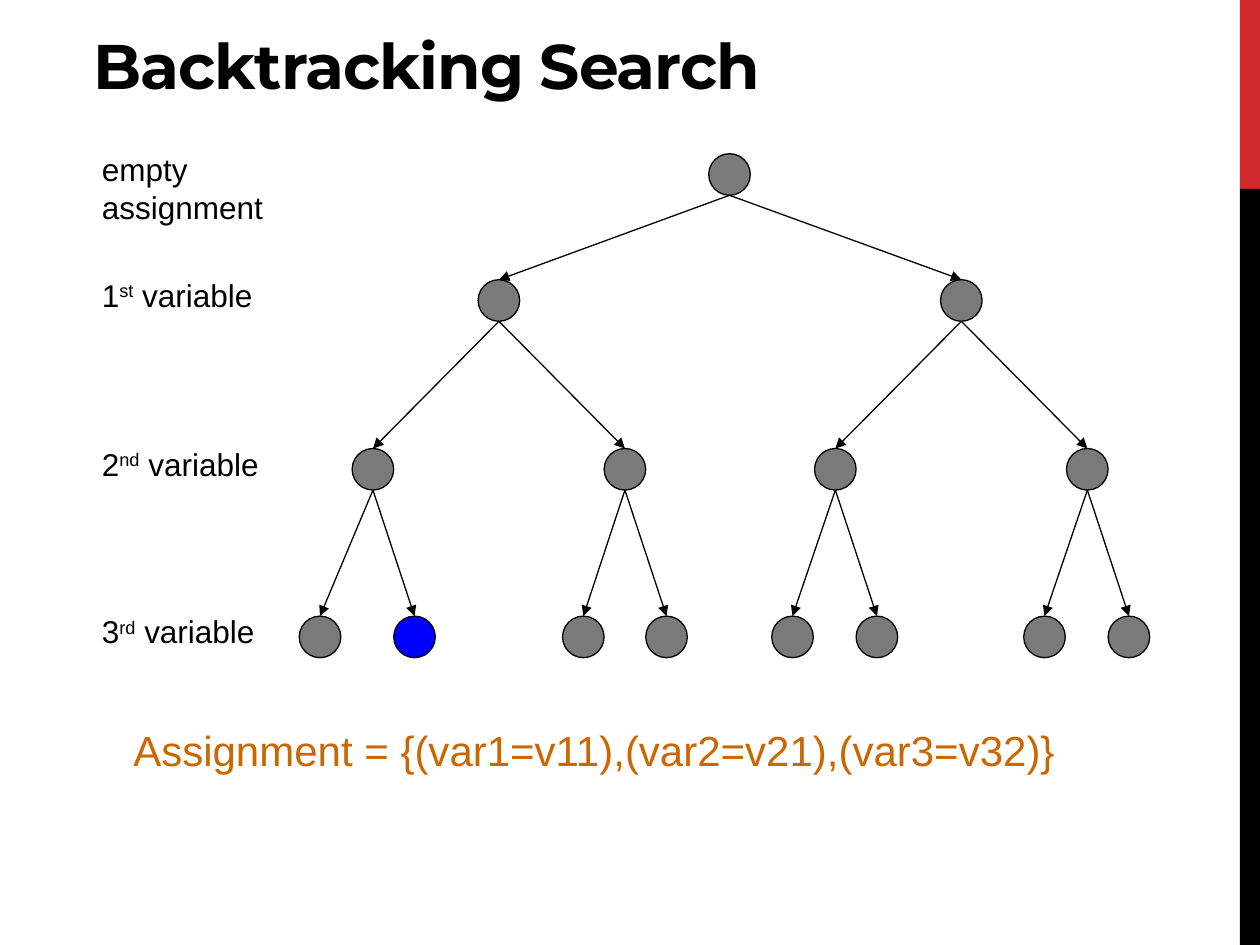
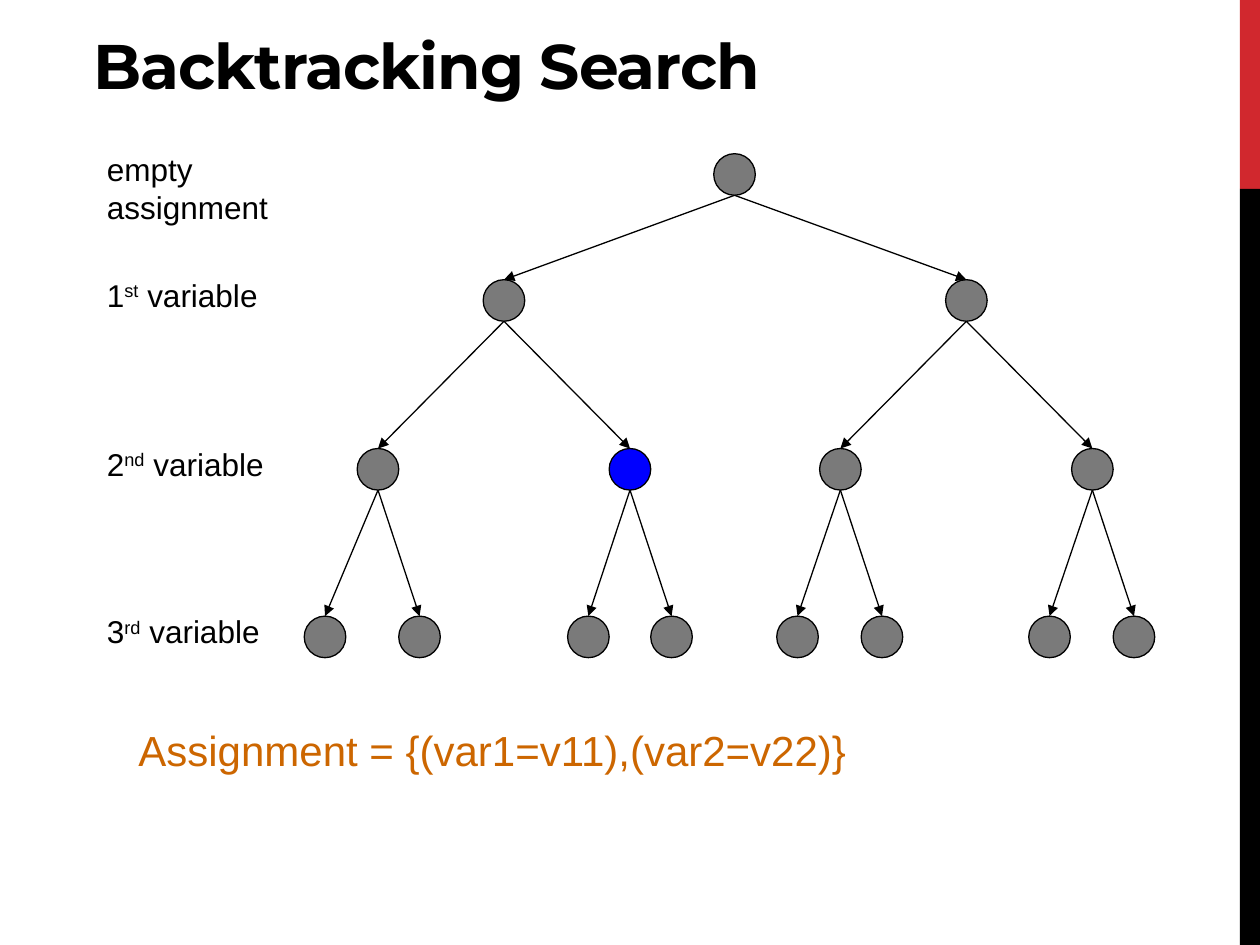
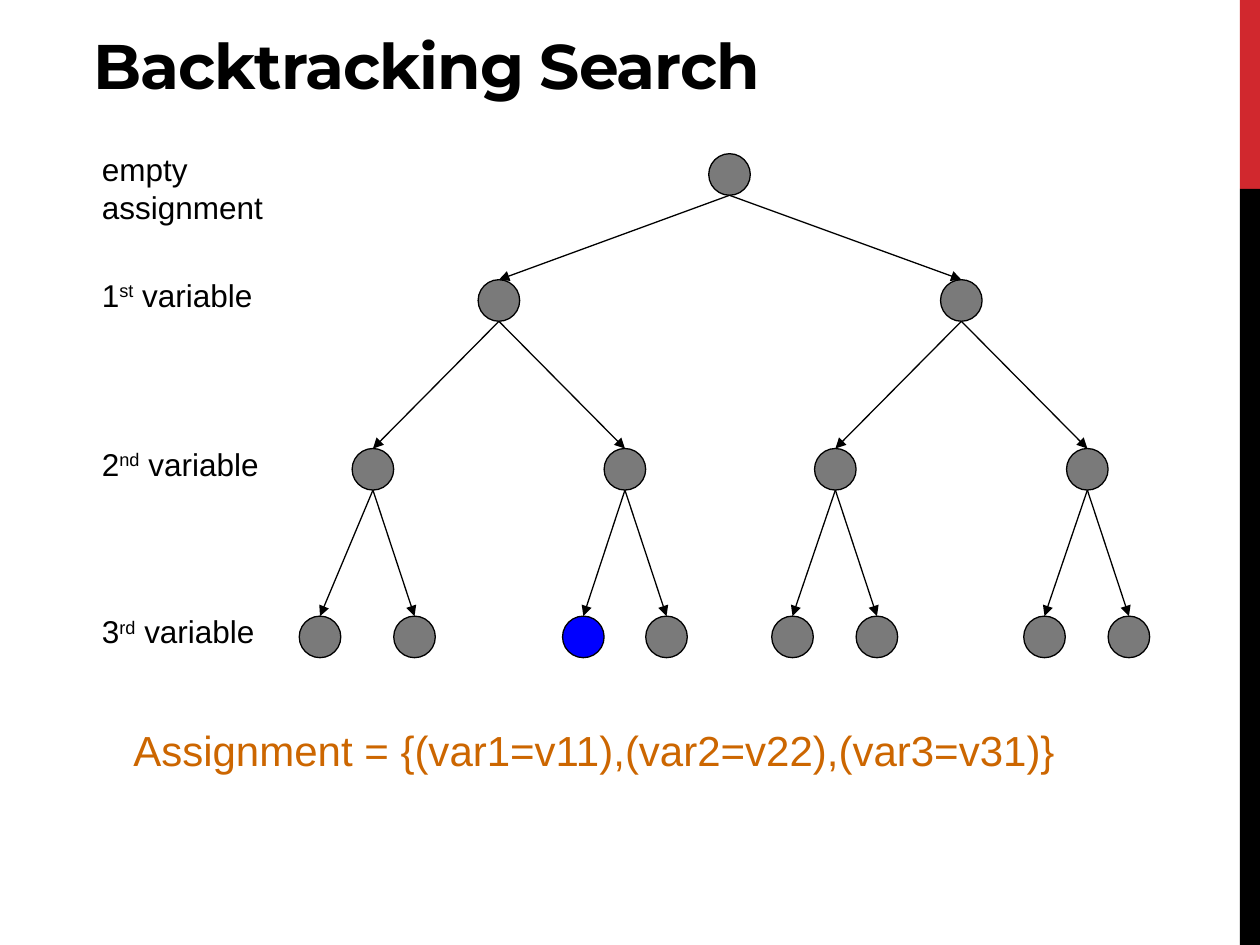
from lxml.etree import SubElement
from pptx import Presentation
from pptx.dml.color import RGBColor
from pptx.enum.shapes import MSO_CONNECTOR, MSO_SHAPE
from pptx.enum.text import MSO_ANCHOR, MSO_AUTO_SIZE, PP_ALIGN
from pptx.oxml.ns import qn
from pptx.util import Inches, Pt

BLACK = RGBColor(0x00, 0x00, 0x00)
RED = RGBColor(0xD1, 0x28, 0x2E)
GRAY = RGBColor(0x7A, 0x7A, 0x7A)
BLUE = RGBColor(0x00, 0x00, 0xFF)
ORANGE = RGBColor(0xCC, 0x66, 0x00)

TITLE = "Backtracking Search"
BANDS = [(0, 1.5, RED), (1.5, 6, BLACK)]
NODE_SIZE = 0.33
LABEL_LEFT = 0.75
LABEL_RISE = 0.08

LEVELS = [
    {"top": 1.22, "label": ["empty assignment"], "centers": [5.83]},
    {"top": 2.22, "label": ["1", "st", " variable"], "centers": [4, 7.67]},
    {"top": 3.56, "label": ["2", "nd", " variable"], "centers": [3, 5, 6.67, 8.67]},
    {"top": 4.89, "label": ["3", "rd", " variable"],
     "centers": [2.58, 3.33, 4.67, 5.33, 6.33, 7, 8.33, 9]},
]

STEPS = [
    {"shift": -0.04, "current": (3, 1),
     "assignment": "Assignment = {(var1=v11),(var2=v21),(var3=v32)}"},
    {"shift": 0, "current": (2, 1),
     "assignment": "Assignment = {(var1=v11),(var2=v22)}"},
    {"shift": -0.04, "current": (3, 2),
     "assignment": "Assignment = {(var1=v11),(var2=v22),(var3=v31)}"},
]


def add_filled(page, kind, left, top, width, height, color):
    shape = page.shapes.add_shape(
        kind, Inches(left), Inches(top), Inches(width), Inches(height))
    shape.shadow.inherit = False
    shape.fill.solid()
    shape.fill.fore_color.rgb = color
    shape.line.fill.background()
    return shape


def add_node(page, center, top, color):
    node = add_filled(page, MSO_SHAPE.OVAL, center - NODE_SIZE / 2, top,
                      NODE_SIZE, NODE_SIZE, color)
    node.line.color.rgb = BLACK
    node.line.width = Pt(0.75)


def add_arrow(page, start, end):
    arrow = page.shapes.add_connector(
        MSO_CONNECTOR.STRAIGHT, *(Inches(value) for value in (*start, *end)))
    arrow.line.color.rgb = BLACK
    arrow.line.width = Pt(0.75)
    SubElement(arrow.line._get_or_add_ln(), qn("a:tailEnd"), type="triangle")
    SubElement(arrow.element.spPr, qn("a:effectLst"))


def add_text(page, parts, left, top, width, size, color):
    box = page.shapes.add_textbox(
        Inches(left), Inches(top), Inches(width), Inches(0.4))
    box.text_frame.word_wrap = True
    para = box.text_frame.paragraphs[0]
    for position, part in enumerate(parts):
        span = para.add_run()
        span.text = part
        span.font.size = Pt(size)
        span.font.name = "Arial"
        span.font.color.rgb = color
        if position == 1:
            span.font._element.set("baseline", "30000")


def add_title(page):
    title = page.shapes.title
    title.left, title.top = Inches(0.5), Inches(0.17)
    title.width, title.height = Inches(8.78), Inches(0.66)
    frame = title.text_frame
    frame.text = TITLE
    frame.auto_size = MSO_AUTO_SIZE.NONE
    frame.vertical_anchor = MSO_ANCHOR.BOTTOM
    frame.margin_left, frame.margin_bottom = Inches(0.24), Inches(0.02)
    para = frame.paragraphs[0]
    para.alignment = PP_ALIGN.LEFT
    span = para.runs[0]
    span.font.name = "Montserrat"
    span.font.size = Pt(36)
    span.font.bold = True
    span.font.color.rgb = BLACK
    span.font._element.set("spc", "-60")


def add_tree(page, shift, current):
    for depth, level in enumerate(LEVELS):
        add_text(page, level["label"], LABEL_LEFT + shift,
                 level["top"] - LABEL_RISE, 1.6, 18, BLACK)
        for index, center in enumerate(level["centers"]):
            color = BLUE if (depth, index) == current else GRAY
            add_node(page, center + shift, level["top"], color)
            if depth:
                above = LEVELS[depth - 1]
                parent = above["centers"][index // 2]
                add_arrow(page, (parent + shift, above["top"] + NODE_SIZE),
                          (center + shift, level["top"]))


def add_bands(deck, page):
    for top, height, color in BANDS:
        band = add_filled(page, MSO_SHAPE.RECTANGLE, 9.84, top, 0.16, height, color)
        deck.slide_master.shapes.element.append(band.element)


def main():
    deck = Presentation()
    deck.slide_width, deck.slide_height = Inches(10), Inches(7.5)
    for step in STEPS:
        page = deck.slides.add_slide(deck.slide_layouts[5])
        add_title(page)
        add_tree(page, step["shift"], step["current"])
        add_text(page, [step["assignment"]], 0.96 + 0.04 + step["shift"], 5.7,
                 7.9, 24, ORANGE)
    add_bands(deck, deck.slides[0])
    deck.save("out.pptx")


if __name__ == "__main__":
    main()
